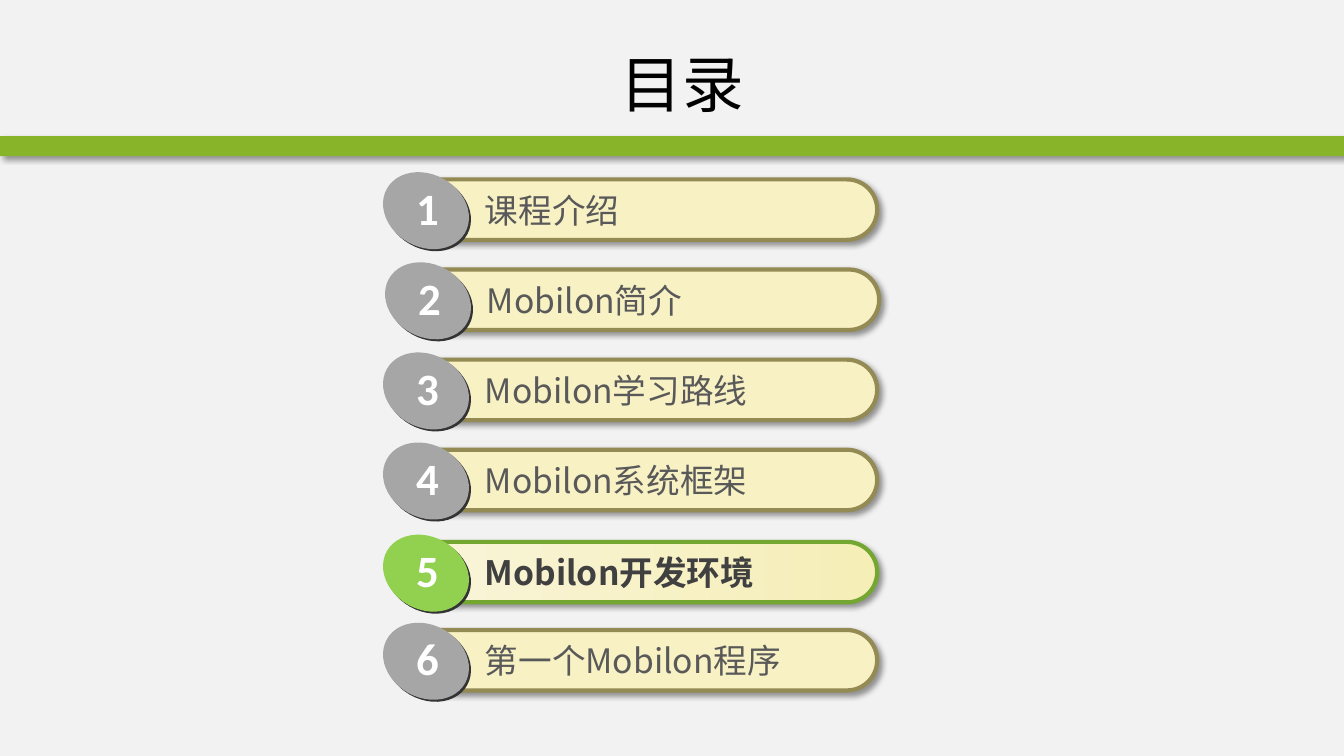
from dataclasses import dataclass

from lxml.etree import SubElement
from pptx import Presentation
from pptx.dml.color import RGBColor
from pptx.enum.shapes import MSO_SHAPE
from pptx.enum.text import MSO_ANCHOR, MSO_AUTO_SIZE, PP_ALIGN
from pptx.oxml.ns import qn
from pptx.util import Inches, Pt


@dataclass(frozen=True)
class Theme:
    background: str = "F2F2F2"
    bar: str = "88B429"
    title: str = "000000"
    pill: str = "F7F1C4"
    pill_line: str = "948A54"
    label: str = "595959"
    badge: str = "A6A6A6"
    badge_edge: str = "333333"
    number: str = "FFFFFF"
    shadow: str = "000000"
    active_start: str = "F9F5D9"
    active_end: str = "F5EEB7"
    active_line: str = "74A731"
    active_label: str = "404040"
    active_badge: str = "92D050"
    text_font: str = "Noto Sans CJK SC"
    number_font: str = "Calibri"
    title_size: int = 44
    number_size: int = 32
    label_size: int = 24


theme = Theme()


def add_filled(shapes, kind, left, top, width, height, color, shadowed=False):
    shape = shapes.add_shape(kind, Inches(left), Inches(top), Inches(width), Inches(height))
    shape.shadow.inherit = False
    shape.fill.solid()
    shape.fill.fore_color.rgb = RGBColor.from_string(color)
    shape.line.fill.background()
    if shadowed:
        effects = shape._element.spPr.find(qn("a:effectLst"))
        shadow = SubElement(effects, qn("a:outerShdw"), blurRad=str(Pt(4)), dist=str(Pt(3)),
                            dir="2700000", algn="tl", rotWithShape="0")
        shadow_color = SubElement(shadow, qn("a:srgbClr"), val=theme.shadow)
        SubElement(shadow_color, qn("a:alpha"), val="40000")
    return shape


def add_text(paragraph, text, font_name, size, color, bold=False):
    run = paragraph.add_run()
    run.text = text
    run.font.size = Pt(size)
    run.font.bold = bold
    run.font.color.rgb = RGBColor.from_string(color)
    run.font.name = font_name
    SubElement(run.font._element, qn("a:ea"), typeface=font_name)


SLIDE_WIDTH, SLIDE_HEIGHT = 13.33, 7.5
ROW_LEFT, ROW_TOP = 3.99, 1.78
ROW_PITCH = (6.25 - ROW_TOP) / 5
ACTIVE_NUMBER = 5

presentation = Presentation()
presentation.slide_width = Inches(SLIDE_WIDTH)
presentation.slide_height = Inches(SLIDE_HEIGHT)
slide = presentation.slides.add_slide(presentation.slide_layouts[5])
slide.background.fill.solid()
slide.background.fill.fore_color.rgb = RGBColor.from_string(theme.background)

add_filled(slide.shapes, MSO_SHAPE.RECTANGLE, 0, 1.35, SLIDE_WIDTH, 0.2, theme.bar, shadowed=True)

title = slide.shapes.title
title.left, title.top, title.width, title.height = map(Inches, (1.39, 0.3, 10.76, 1.05))
title.text_frame.vertical_anchor = MSO_ANCHOR.MIDDLE
title_paragraph = title.text_frame.paragraphs[0]
title_paragraph.alignment = PP_ALIGN.CENTER
add_text(title_paragraph, "目录", theme.text_font, theme.title_size, theme.title)

topics = [
    ("课程介绍", 0, 0),
    ("Mobilon简介", 0.02, 0),
    ("Mobilon学习路线", 0, 0),
    ("Mobilon系统框架", 0, 0),
    ("Mobilon开发环境", 0, 0.02),
    ("第一个Mobilon程序", 0, 0),
]

for number, (topic, shift_right, shift_down) in enumerate(topics, start=1):
    active = number == ACTIVE_NUMBER
    left = ROW_LEFT + shift_right
    top = ROW_TOP + (number - 1) * ROW_PITCH + shift_down
    shapes = slide.shapes.add_group_shape().shapes

    pill = add_filled(shapes, MSO_SHAPE.ROUNDED_RECTANGLE, left, top, 4.71, 0.6, theme.pill, shadowed=True)
    pill.adjustments[0] = 0.5
    pill.line.width = Pt(3)
    pill.line.color.rgb = RGBColor.from_string(theme.active_line if active else theme.pill_line)
    if active:
        pill.fill.gradient()
        pill.fill.gradient_angle = 0
        for stop, color in zip(pill.fill.gradient_stops, (theme.active_start, theme.active_end)):
            stop.color.rgb = RGBColor.from_string(color)

    label = shapes.add_textbox(Inches(left + 0.72), Inches(top + 0.05), Inches(3.75), Inches(0.51))
    label.text_frame.word_wrap = True
    label.text_frame.auto_size = MSO_AUTO_SIZE.SHAPE_TO_FIT_TEXT
    add_text(label.text_frame.paragraphs[0], topic, theme.text_font, theme.label_size,
             theme.active_label if active else theme.label, bold=active)

    badge_color = theme.active_badge if active else theme.badge
    for shift_x, shift_y, color in ((-0.19, -0.03, theme.badge_edge), (-0.21, -0.05, badge_color)):
        badge = add_filled(shapes, MSO_SHAPE.OVAL, left + shift_x, top + shift_y, 0.89, 0.72, color)
        badge.rotation = 29.3

    numeral = shapes.add_textbox(Inches(left + 0.04), Inches(top - 0.04), Inches(0.43), Inches(0.64))
    numeral.text_frame.word_wrap = False
    numeral.text_frame.auto_size = MSO_AUTO_SIZE.SHAPE_TO_FIT_TEXT
    add_text(numeral.text_frame.paragraphs[0], str(number), theme.number_font, theme.number_size,
             theme.number, bold=True)

presentation.save("out.pptx")
